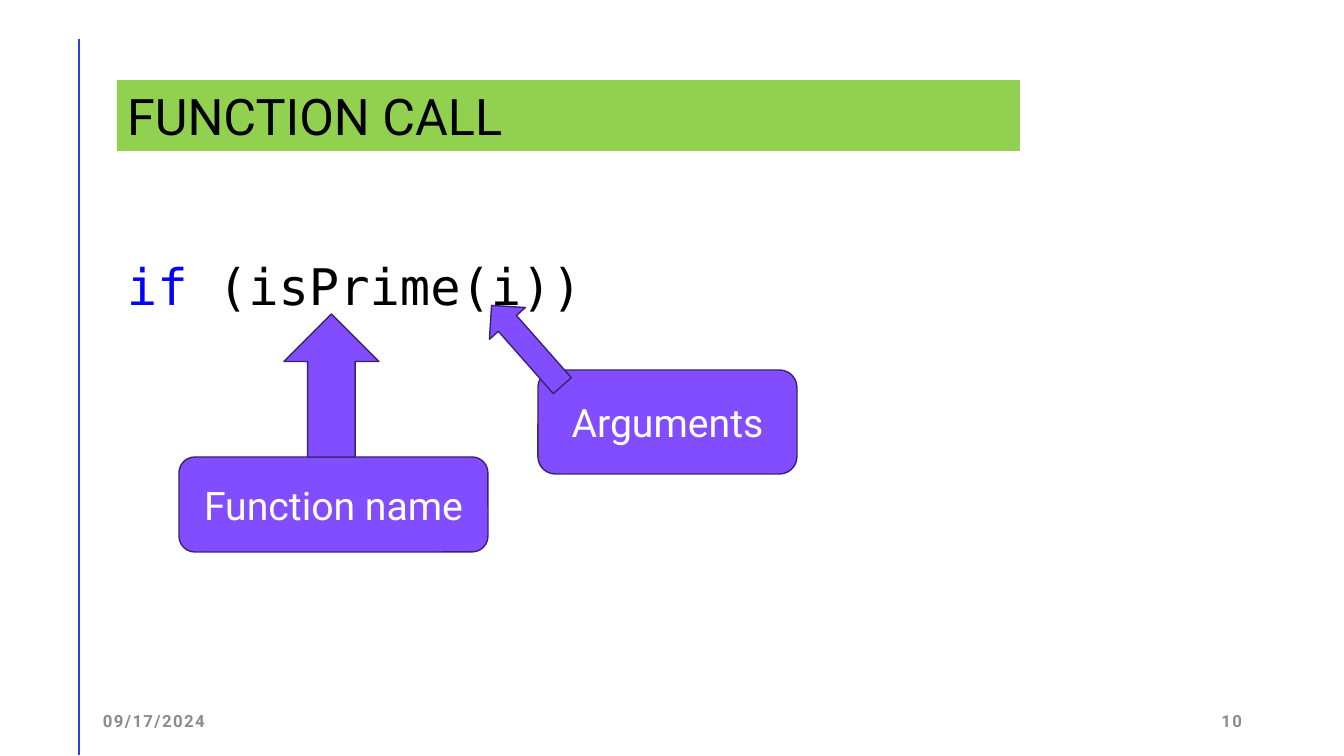
"""Build the slide that labels the parts of a function call."""
from pptx import Presentation
from pptx.dml.color import RGBColor
from pptx.enum.shapes import MSO_CONNECTOR, MSO_SHAPE
from pptx.enum.text import MSO_ANCHOR, MSO_AUTO_SIZE, PP_ALIGN
from pptx.oxml.ns import qn
from pptx.util import Emu, Pt
from lxml import etree

LEFT, CENTER, RIGHT = PP_ALIGN.LEFT, PP_ALIGN.CENTER, PP_ALIGN.RIGHT
TOP, MIDDLE = MSO_ANCHOR.TOP, MSO_ANCHOR.MIDDLE
ROUNDED, UP_ARROW = MSO_SHAPE.ROUNDED_RECTANGLE, MSO_SHAPE.UP_ARROW
SANS, MONO = "Roboto", "DejaVu Sans Mono"
PURPLE, OUTLINE = "814DFF", "392270"


def px(*lengths):
    return [Emu(round(length * 914400 / 100.8)) for length in lengths]


def write(shape, runs, size, font=SANS, align=LEFT, anchor=TOP, bold=False):
    frame = shape.text_frame
    frame.word_wrap = True
    frame.auto_size = MSO_AUTO_SIZE.NONE
    frame.vertical_anchor = anchor
    paragraph = frame.paragraphs[0]
    paragraph.alignment = align
    for text, color in runs:
        run = paragraph.add_run()
        run.text = text
        run.font.name = font
        run.font.size = Pt(size)
        run.font.bold = bold
        run.font.color.rgb = RGBColor.from_string(color)
    return paragraph


deck = Presentation()
deck.slide_width, deck.slide_height = px(1344, 756)
slide = deck.slides.add_slide(deck.slide_layouts[5])
shapes = slide.shapes

margin_rule = shapes.add_connector(MSO_CONNECTOR.STRAIGHT, *px(79, 39, 79, 755))
margin_rule.line.color.rgb = RGBColor.from_string("2F3FE0")
margin_rule.line.width = Pt(2)
etree.SubElement(margin_rule._element.spPr, qn("a:effectLst"))

for footer, left, align in (("09/17/2024", 93, LEFT), ("10", 950, RIGHT)):
    footer_box = shapes.add_textbox(*px(left, 701, 302, 40))
    footer_text = write(footer_box, [(footer, "8C8C8C")], 12,
                        align=align, anchor=MIDDLE, bold=True)
    footer_text.runs[0].font._element.set("spc", "100")

title = shapes.title
title.left, title.top, title.width, title.height = px(117, 80, 903, 71)
title.fill.solid()
title.fill.fore_color.rgb = RGBColor.from_string("92D050")
write(title, [("FUNCTION CALL", "000000")], 36)

code = shapes.add_textbox(*px(117, 250, 483, 72))
write(code, [("if", "0000FF"), (" (isPrime(i))", "000000")], 36, MONO)

callouts = (
    (ROUNDED, (179, 457, 309, 95), 0, "Function name"),
    (ROUNDED, (538, 370, 259, 104), 0, "Arguments"),
    (UP_ARROW, (284, 314, 95, 143), 0, ""),
    (UP_ARROW, (503, 292, 48, 107), 318.6, ""),
)
for kind, bounds, rotation, label in callouts:
    callout = shapes.add_shape(kind, *px(*bounds))
    callout.rotation = rotation
    callout.shadow.inherit = False
    callout.fill.solid()
    callout.fill.fore_color.rgb = RGBColor.from_string(PURPLE)
    callout.line.color.rgb = RGBColor.from_string(OUTLINE)
    callout.line.width = Pt(1)
    if label:
        write(callout, [(label, "FFFFFF")], 28, align=CENTER, anchor=MIDDLE)

deck.save("out.pptx")
